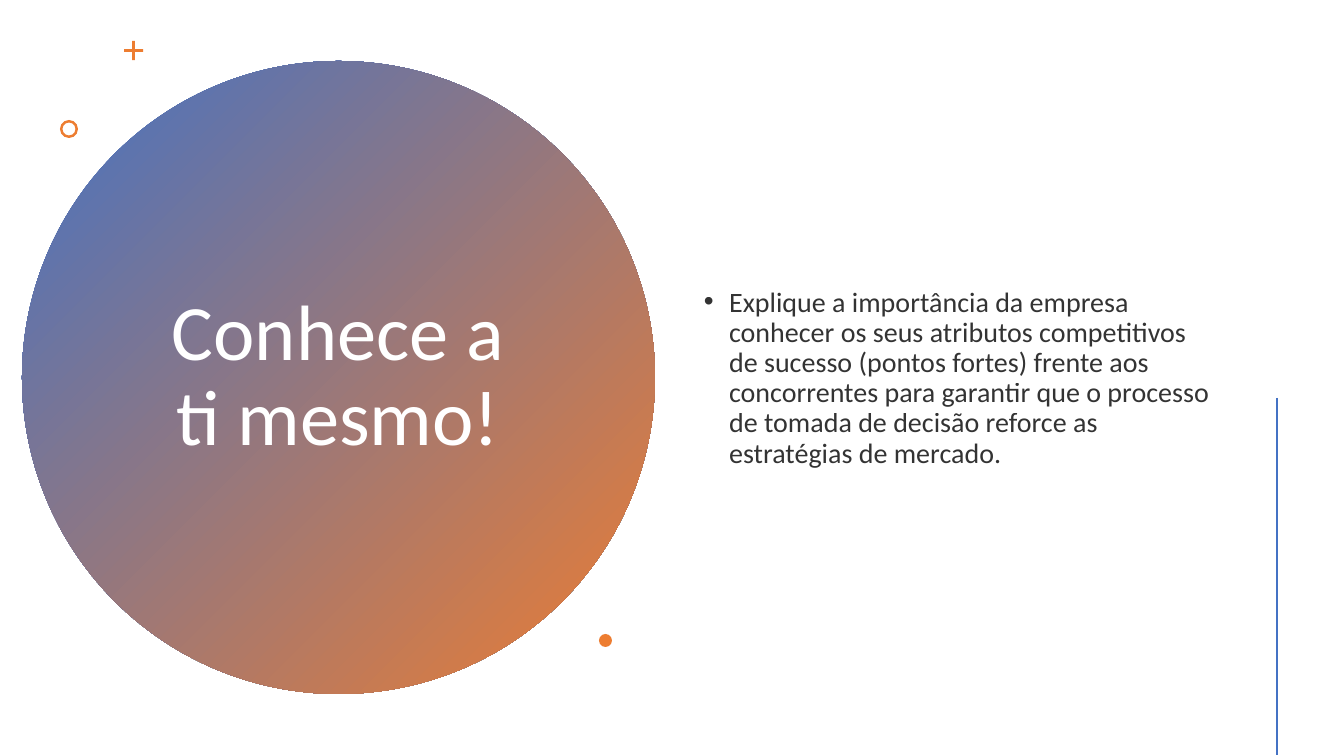
import dataclasses

import lxml.etree
import pptx
import pptx.dml.color
import pptx.enum.dml
import pptx.enum.shapes
import pptx.enum.text
import pptx.oxml.ns
import pptx.shapes.autoshape
import pptx.slide
import pptx.text.text
import pptx.util

RGBColor = pptx.dml.color.RGBColor
Preset = pptx.enum.shapes.MSO_SHAPE
Align = pptx.enum.text.PP_ALIGN

BLUE = RGBColor(0x44, 0x72, 0xC4)
ORANGE = RGBColor(0xED, 0x7D, 0x31)
WHITE = RGBColor(0xFF, 0xFF, 0xFF)
BLACK = RGBColor(0x00, 0x00, 0x00)
FONT = "Calibri"
SLIDE_WIDTH, SLIDE_HEIGHT = 1344, 756
EMU_PER_PX = 12192000 / SLIDE_WIDTH


@dataclasses.dataclass(frozen=True)
class Ornament:
    preset: pptx.enum.shapes.MSO_SHAPE
    left: int
    top: int
    size: int
    adjustment: float | None = None


CIRCLE = Ornament(Preset.OVAL, 22, 61, 633)
ACCENTS = [
    Ornament(Preset.CROSS, 124, 41, 19, 0.43),
    Ornament(Preset.DONUT, 60, 120, 18, 0.14),
    Ornament(Preset.OVAL, 599, 634, 13),
]


def px(length: int) -> pptx.util.Emu:
    return pptx.util.Emu(round(length * EMU_PER_PX))


def add_ornament(
    slide: pptx.slide.Slide, ornament: Ornament
) -> pptx.shapes.autoshape.Shape:
    size = px(ornament.size)
    shape = slide.shapes.add_shape(
        ornament.preset, px(ornament.left), px(ornament.top), size, size
    )
    if ornament.adjustment is not None:
        shape.adjustments[0] = ornament.adjustment
    shape.shadow.inherit = False
    shape.fill.solid()
    shape.fill.fore_color.rgb = ORANGE
    shape.line.fill.background()
    return shape


def write_text(
    frame: pptx.text.text.TextFrame,
    text: str,
    size: int,
    color: RGBColor,
    align: Align,
) -> pptx.text.text._Paragraph:
    frame.word_wrap = True
    frame.auto_size = pptx.enum.text.MSO_AUTO_SIZE.NONE
    frame.vertical_anchor = pptx.enum.text.MSO_ANCHOR.MIDDLE
    para = frame.paragraphs[0]
    para.alignment = align
    para.line_spacing = 0.9
    run = para.add_run()
    run.text = text
    run.font.name = FONT
    run.font.size = pptx.util.Pt(size)
    run.font.color.rgb = color
    return para


def add_bullet(para: pptx.text.text._Paragraph) -> None:
    indent = pptx.util.Inches(0.25)
    properties = para._p.get_or_add_pPr()
    properties.set("marL", str(indent))
    properties.set("indent", str(-indent))
    qn = pptx.oxml.ns.qn
    lxml.etree.SubElement(properties, qn("a:buFont"), typeface="Arial")
    lxml.etree.SubElement(properties, qn("a:buChar"), char="•")


def add_title(slide: pptx.slide.Slide) -> None:
    title = slide.shapes.title
    title.left, title.top = px(137), px(142)
    title.width, title.height = px(402), px(471)
    write_text(title.text_frame, "Conhece a ti mesmo!", 56, WHITE, Align.CENTER)


def add_circle(slide: pptx.slide.Slide) -> None:
    circle = add_ornament(slide, CIRCLE)
    circle.fill.gradient()
    circle.fill.gradient_angle = 315
    for stop, color in zip(circle.fill.gradient_stops, (BLUE, ORANGE)):
        stop.color.rgb = color
    slide.shapes.title.element.addprevious(circle.element)


def add_body(slide: pptx.slide.Slide) -> None:
    box = slide.shapes.add_textbox(px(694), px(57), px(526), px(643))
    para = write_text(
        box.text_frame,
        "Explique a importância da empresa conhecer os seus atributos "
        "competitivos de sucesso (pontos fortes) frente aos concorrentes para "
        "garantir que o processo de tomada de decisão reforce as estratégias "
        "de mercado.",
        20,
        BLACK,
        Align.LEFT,
    )
    add_bullet(para)
    qn = pptx.oxml.ns.qn
    for color in para._p.iter(qn("a:srgbClr")):
        lxml.etree.SubElement(color, qn("a:alpha"), val="80000")


def add_side_line(slide: pptx.slide.Slide) -> None:
    line = slide.shapes.add_connector(
        pptx.enum.shapes.MSO_CONNECTOR.STRAIGHT, px(1277), px(398), px(1277), px(755)
    )
    line.line.color.rgb = BLUE
    line.line.width = pptx.util.Pt(2)
    lxml.etree.SubElement(line.element.spPr, pptx.oxml.ns.qn("a:effectLst"))


def main() -> None:
    deck = pptx.Presentation()
    deck.slide_width, deck.slide_height = px(SLIDE_WIDTH), px(SLIDE_HEIGHT)
    slide = deck.slides.add_slide(deck.slide_layouts[5])
    add_title(slide)
    add_circle(slide)
    add_body(slide)
    for accent in ACCENTS:
        add_ornament(slide, accent)
    add_side_line(slide)
    deck.save("out.pptx")


if __name__ == "__main__":
    main()
